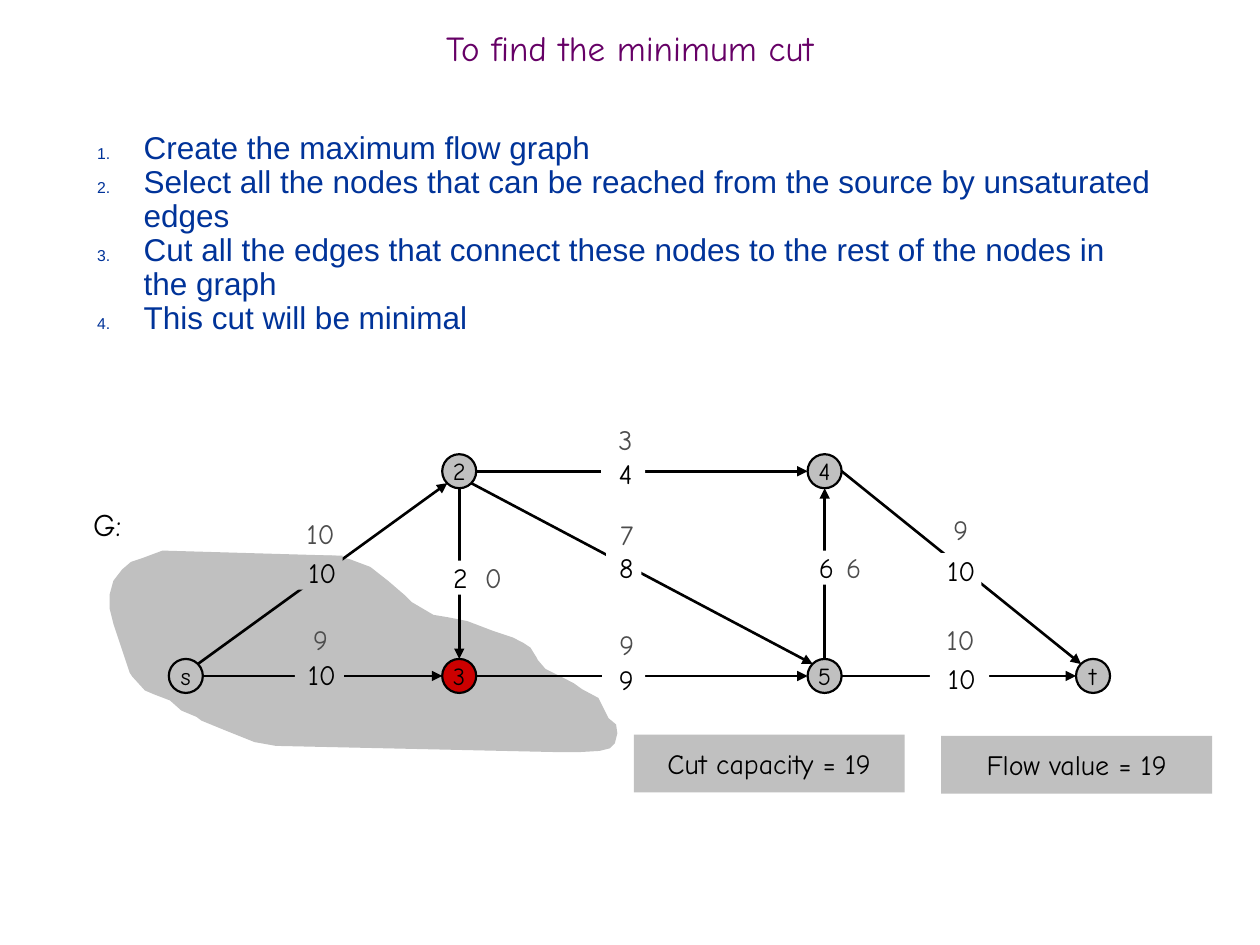
from dataclasses import dataclass

from lxml import etree
from pptx import Presentation
from pptx.dml.color import RGBColor
from pptx.enum.shapes import MSO_CONNECTOR, MSO_SHAPE
from pptx.enum.text import MSO_ANCHOR, MSO_AUTO_SIZE, PP_ALIGN
from pptx.oxml.ns import qn
from pptx.util import Inches, Pt

LEFT, CENTER = PP_ALIGN.LEFT, PP_ALIGN.CENTER
TOP, MIDDLE = MSO_ANCHOR.TOP, MSO_ANCHOR.MIDDLE
RECTANGLE, OVAL = MSO_SHAPE.RECTANGLE, MSO_SHAPE.OVAL
STRAIGHT = MSO_CONNECTOR.STRAIGHT
NO_AUTOFIT = MSO_AUTO_SIZE.NONE

COMIC, ARIAL = "Comic Neue", "Arial"
BLACK, WHITE, GRAY, DARK_GRAY = "000000", "FFFFFF", "C0C0C0", "4D4D4D"
RED, PURPLE, BLUE = "CC0000", "660066", "003399"

NODE_SIZE = 0.27
UPPER, LOWER = 3.74, 5.365
DIAGONAL = 0.7
SIDES = {
    "top": (0, -1), "bottom": (0, 1), "left": (-1, 0), "right": (1, 0),
    "top left": (-DIAGONAL, -DIAGONAL), "top right": (DIAGONAL, -DIAGONAL),
    "bottom left": (-DIAGONAL, DIAGONAL), "bottom right": (DIAGONAL, DIAGONAL),
}


@dataclass
class Node:
    name: str
    x: float
    y: float
    fill: str = GRAY

    def point(self, side: str) -> tuple[float, float]:
        """Return the point on the node's rim at the given side."""
        dx, dy = SIDES[side]
        return self.x + dx * NODE_SIZE / 2, self.y + dy * NODE_SIZE / 2


@dataclass
class Edge:
    start: str
    start_side: str
    end: str
    end_side: str


@dataclass
class Capacity:
    text: str
    left: float
    top: float
    width: float
    indent: float = 0.04
    fill: str = WHITE


@dataclass
class Flow:
    text: str
    left: float
    top: float


NODES = [
    Node("s", 1.475, LOWER), Node("2", 3.645, UPPER), Node("3", 3.645, LOWER, RED),
    Node("4", 6.545, UPPER), Node("5", 6.545, LOWER), Node("t", 8.675, LOWER),
]
EDGES = [
    Edge("s", "top right", "2", "bottom left"), Edge("s", "right", "3", "left"),
    Edge("3", "right", "5", "left"), Edge("2", "right", "4", "left"),
    Edge("2", "bottom", "3", "top"), Edge("5", "top", "4", "bottom"),
    Edge("2", "bottom right", "5", "top left"), Edge("4", "right", "t", "top left"),
    Edge("5", "right", "t", "left"),
]
CAPACITIES = [
    Capacity("10", 2.34, 5.22, 0.39, fill=GRAY), Capacity("10", 2.26, 4.41, 0.46, 0.14, GRAY),
    Capacity("9", 4.78, 5.26, 0.34), Capacity("8", 4.81, 4.37, 0.28),
    Capacity("4", 4.77, 3.62, 0.35), Capacity("10", 7.38, 5.25, 0.47),
    Capacity("10", 7.33, 4.39, 0.46, 0.14), Capacity("6", 6.31, 4.37, 0.46),
    Capacity("2", 3.4, 4.45, 0.47),
]
FLOWS = [
    Flow("10", 2.36, 4.1), Flow("3", 4.78, 3.35), Flow("9", 7.44, 4.07),
    Flow("9", 2.36, 4.94), Flow("9", 4.79, 4.98), Flow("10", 7.44, 4.94),
    Flow("7", 4.79, 4.11), Flow("0", 3.73, 4.45), Flow("6", 6.59, 4.37),
]
STEPS = [
    "Create the maximum flow graph",
    "Select all the nodes that can be reached from the source by unsaturated edges",
    "Cut all the edges that connect these nodes to the rest of the nodes in the graph",
    "This cut will be minimal",
]
CUT_OUTLINE = [
    (4.27, 5.24), (4.33, 5.31), (4.55, 5.42), (4.62, 5.47), (4.75, 5.54), (4.83, 5.7),
    (4.89, 5.75), (4.9, 5.82), (4.88, 5.9), (4.84, 5.94), (4.76, 5.96), (4.59, 5.97),
    (4.45, 5.97), (2.19, 5.92), (2.02, 5.89), (1.82, 5.81), (1.6, 5.72), (1.56, 5.69),
    (1.44, 5.64), (1.35, 5.56), (1.22, 5.51), (1.15, 5.48), (1.05, 5.37), (1.03, 5.34),
    (0.98, 5.19), (0.9, 4.95), (0.87, 4.83), (0.87, 4.72), (0.9, 4.61), (0.97, 4.52),
    (1.04, 4.46), (1.13, 4.43), (1.29, 4.37), (2.66, 4.41), (2.78, 4.44), (2.94, 4.5),
    (3.08, 4.61), (3.22, 4.73), (3.27, 4.78), (3.44, 4.88), (3.56, 4.9), (3.71, 4.93),
    (3.92, 5.01), (4.07, 5.06), (4.15, 5.1), (4.21, 5.14), (4.26, 5.22),
]


def color(value: str) -> RGBColor:
    return RGBColor.from_string(value)


def write(shape, *lines: str, size=16, font=COMIC, fill=BLACK, align=CENTER, anchor=TOP,
          margins=(0, 0, 0, 0), wrap=True, spacing=1.0, numbered=False) -> None:
    """Fill the shape with one paragraph per line; margins run left, top, right, bottom."""
    frame = shape.text_frame
    frame.auto_size, frame.word_wrap, frame.vertical_anchor = NO_AUTOFIT, wrap, anchor
    (frame.margin_left, frame.margin_top,
     frame.margin_right, frame.margin_bottom) = map(Inches, margins)
    for index, line in enumerate(lines):
        paragraph = frame.add_paragraph() if index else frame.paragraphs[0]
        if numbered:
            add_number(paragraph, fill, font)
        paragraph.alignment, paragraph.line_spacing = align, spacing
        paragraph.space_before = Pt(0)
        run = paragraph.add_run()
        run.text = line
        run.font.size, run.font.name = Pt(size), font
        run.font.color.rgb = color(fill)


def add_number(paragraph, fill: str, font: str) -> None:
    properties = paragraph._p.get_or_add_pPr()
    properties.set("marL", str(Inches(0.37)))
    properties.set("indent", str(Inches(-0.37)))
    bullet_color = etree.SubElement(properties, qn("a:buClr"))
    etree.SubElement(bullet_color, qn("a:srgbClr"), val=fill)
    etree.SubElement(properties, qn("a:buSzPct"), val="50000")
    etree.SubElement(properties, qn("a:buFont"), typeface=font)
    etree.SubElement(properties, qn("a:buAutoNum"), type="arabicPeriod")


def place(shape, left: float, top: float, width: float, height: float) -> None:
    shape.left, shape.top = Inches(left), Inches(top)
    shape.width, shape.height = Inches(width), Inches(height)


def style(shape, fill: str, outline: str | None = None) -> None:
    shape.shadow.inherit = False
    shape.fill.solid()
    shape.fill.fore_color.rgb = color(fill)
    if outline:
        shape.line.color.rgb = color(outline)
        shape.line.width = Pt(1.25)
    else:
        shape.line.fill.background()


def add_box(slide, kind, left, top, width, height, fill, outline=None):
    shape = slide.shapes.add_shape(kind, *map(Inches, (left, top, width, height)))
    style(shape, fill, outline)
    return shape


def draw_cut(slide) -> None:
    builder = slide.shapes.build_freeform(*map(Inches, CUT_OUTLINE[0]))
    builder.add_line_segments([(Inches(x), Inches(y)) for x, y in CUT_OUTLINE[1:]])
    style(builder.convert_to_shape(), GRAY)


def draw_node(slide, node: Node) -> None:
    oval = add_box(slide, OVAL, node.x - NODE_SIZE / 2, node.y - NODE_SIZE / 2,
                   NODE_SIZE, NODE_SIZE, node.fill, BLACK)
    write(oval, node.name, size=14, anchor=MIDDLE, margins=(0.1, 0.05, 0.1, 0.05), wrap=False)


def draw_edge(slide, edge: Edge, nodes: dict[str, Node]) -> None:
    ends = nodes[edge.start].point(edge.start_side) + nodes[edge.end].point(edge.end_side)
    connector = slide.shapes.add_connector(STRAIGHT, *map(Inches, ends))
    connector.line.color.rgb = color(BLACK)
    connector.line.width = Pt(1.5)
    etree.SubElement(connector.line._get_or_add_ln(), qn("a:tailEnd"), type="triangle")
    etree.SubElement(connector._element.spPr, qn("a:effectLst"))


def draw_capacity(slide, label: Capacity) -> None:
    box = add_box(slide, RECTANGLE, label.left, label.top, label.width, 0.27, label.fill)
    write(box, label.text, margins=(label.indent, 0, 0, 0))


def draw_flow(slide, label: Flow) -> None:
    box = slide.shapes.add_textbox(*map(Inches, (label.left, label.top, 0.37, 0.19)))
    write(box, label.text, fill=DARK_GRAY)


def main() -> None:
    presentation = Presentation()
    presentation.slide_width, presentation.slide_height = Inches(10), Inches(7.5)
    slide = presentation.slides.add_slide(presentation.slide_layouts[1])
    title, body = slide.placeholders
    margins = (0.1, 0.05, 0.1, 0.05)
    place(title, 0, 0.17, 10, 0.5)
    write(title, "To find the minimum cut", size=20, fill=PURPLE, anchor=MIDDLE,
          margins=margins, spacing=0.7)
    place(body, 0.67, 1, 8.58, 1.94)
    write(body, *STEPS, size=18, font=ARIAL, fill=BLUE, align=LEFT, margins=margins,
          spacing=0.9, numbered=True)

    draw_cut(slide)
    nodes = {node.name: node for node in NODES}
    for node in NODES:
        draw_node(slide, node)
    for edge in EDGES:
        draw_edge(slide, edge, nodes)
    for capacity in CAPACITIES:
        draw_capacity(slide, capacity)
    for flow in FLOWS:
        draw_flow(slide, flow)

    graph_name = add_box(slide, RECTANGLE, 0.66, 4.01, 0.48, 0.3, WHITE)
    write(graph_name, "G:", size=18, align=LEFT, margins=(0.08, 0, 0, 0))
    for text, left, top in (("Flow value = 19", 7.47, 5.84), ("Cut capacity = 19", 5.03, 5.83)):
        result = add_box(slide, RECTANGLE, left, top, 2.15, 0.46, GRAY)
        write(result, text, anchor=MIDDLE, margins=(0.1, 0.15, 0.1, 0.15))
    presentation.save("out.pptx")


if __name__ == "__main__":
    main()
